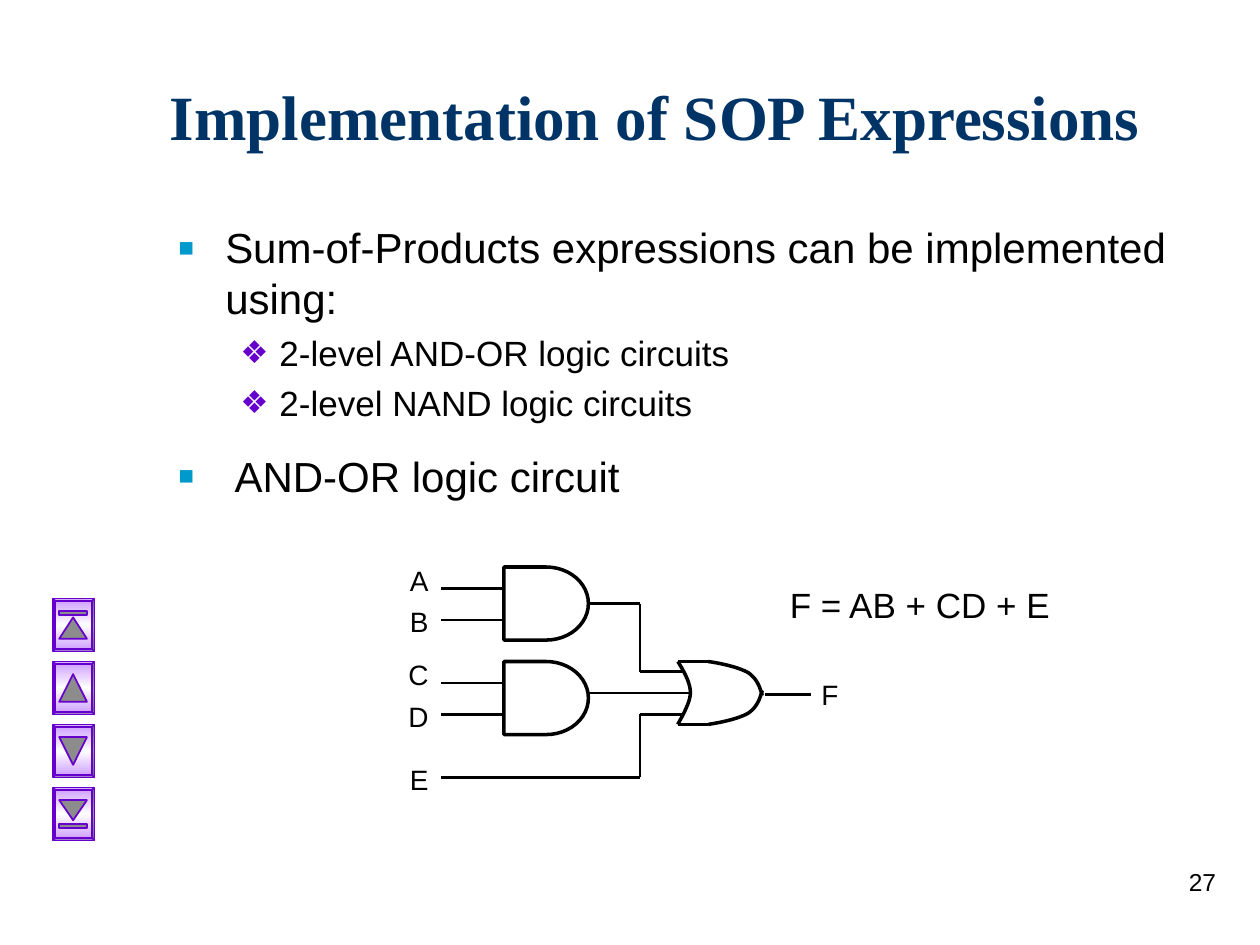
import pptx
import pptx.dml.color
import pptx.enum.dml
import pptx.enum.shapes
import pptx.enum.text
import pptx.oxml
import pptx.oxml.ns
import pptx.util
from pptx.util import Inches

RGBColor = pptx.dml.color.RGBColor
SHAPE = pptx.enum.shapes.MSO_SHAPE
ALIGN = pptx.enum.text.PP_ALIGN

NAVY = RGBColor(0x00, 0x33, 0x66)
BLACK = RGBColor(0x00, 0x00, 0x00)
TEAL = RGBColor(0x00, 0x99, 0xCC)
PURPLE = RGBColor(0x66, 0x00, 0xCC)
LILAC = RGBColor(0xCC, 0x99, 0xFF)
WHITE = RGBColor(0xFF, 0xFF, 0xFF)
GREY = RGBColor(0x8C, 0x8C, 0x8C)

# Bullet levels: text size, left margin, hanging indent, sign, sign colour, sign size in %
LEVELS = [
    (24, 0.38, 0.38, "▪", TEAL, 120),
    (20, 0.81, 0.31, "❖", PURPLE, 90),
]
# Text, level, space before
BULLETS = [
    ("Sum-of-Products expressions can be implemented using:", 0, 6),
    ("2-level AND-OR logic circuits", 1, 5),
    ("2-level NAND logic circuits", 1, 5),
    (" AND-OR logic circuit", 0, 15),
]
INPUT_LABELS = {"A": 4.42, "B": 4.75, "C": 5.17, "D": 5.5, "E": 6}
INPUT_WIRES = [4.67, 4.92, 5.42, 5.67]
INNER_WIRES = [
    (5.08, 4.79, 5.08, 5.33),
    (5.08, 5.33, 5.42, 5.33),
    (4.67, 5.5, 5.48, 5.5),
    (3.5, 6.17, 5.08, 6.17),
    (5.08, 6.17, 5.08, 5.67),
    (5.08, 5.67, 5.42, 5.67),
    (6.07, 5.51, 6.44, 5.51),
]
# Top of button, top of triangle, triangle height, points down, top of bar
NAV_BUTTONS = [
    (4.75, 4.9, 0.17, False, 4.85),
    (5.25, 5.35, 0.22, False, None),
    (5.75, 5.85, 0.22, True, None),
    (6.25, 6.35, 0.16, True, 6.54),
]


def add_frame(s, left, top, width, height):
    tf = s.shapes.add_textbox(Inches(left), Inches(top), Inches(width), Inches(height)).text_frame
    tf.word_wrap = True
    return tf


def write(p, text, size, font="Arial", color=BLACK, bold=False, before=0, align=ALIGN.LEFT):
    p.text = text
    p.alignment = align
    p.space_before = pptx.util.Pt(before)
    for r in p.runs:
        r.font.size = pptx.util.Pt(size)
        r.font.name = font
        r.font.bold = bold
        r.font.color.rgb = color


def add_label(s, box, text, size, **style):
    tf = add_frame(s, *box)
    write(tf.paragraphs[0], text, size, **style)
    return tf


def set_bullet(p, margin, hanging, sign, color, percent):
    pPr = p._p.get_or_add_pPr()
    pPr.set("marL", str(Inches(margin)))
    pPr.set("indent", str(-Inches(hanging)))
    ns = pptx.oxml.ns.nsdecls("a")
    for xml in (
        f'<a:buClr {ns}><a:srgbClr val="{color}"/></a:buClr>',
        f'<a:buSzPct {ns} val="{percent * 1000}"/>',
        f'<a:buFont {ns} typeface="Arial"/>',
        f'<a:buChar {ns} char="{sign}"/>',
    ):
        pPr.append(pptx.oxml.parse_xml(xml))


def add_bullets(s):
    tf = add_frame(s, 1.31, 1.71, 8.5, 2.38)
    for i, (text, level, before) in enumerate(BULLETS):
        p = tf.add_paragraph() if i else tf.paragraphs[0]
        size, *bullet = LEVELS[level]
        p.level = level
        write(p, text, size, before=before)
        set_bullet(p, *bullet)


def set_line(shape, color, width):
    shape.line.color.rgb = color
    shape.line.width = pptx.util.Pt(width)


def add_wire(s, x1, y1, x2, y2, width=1.5):
    wire = s.shapes.add_connector(
        pptx.enum.shapes.MSO_CONNECTOR.STRAIGHT, Inches(x1), Inches(y1), Inches(x2), Inches(y2))
    set_line(wire, BLACK, width)
    wire._element.spPr.append(pptx.oxml.parse_xml(f'<a:effectLst {pptx.oxml.ns.nsdecls("a")}/>'))
    return wire


def add_and_gate(s, top):
    gate = s.shapes.add_shape(
        SHAPE.FLOWCHART_DELAY, Inches(4), Inches(top), Inches(0.67), Inches(0.58))
    gate.shadow.inherit = False
    gate.fill.background()
    set_line(gate, BLACK, 2)
    return gate


def bezier(p0, p1, p2, p3, steps=12):
    """Points along a cubic curve, both ends included."""
    points = []
    for i in range(steps + 1):
        t = i / steps
        weights = ((1 - t) ** 3, 3 * t * (1 - t) ** 2, 3 * t * t * (1 - t), t ** 3)
        points.append(tuple(
            sum(w * c for w, c in zip(weights, axis)) for axis in zip(p0, p1, p2, p3)))
    return points


def add_curve(s, *points):
    """Open curve through cubic segments that share their end points."""
    path = [pt for i in range(0, len(points) - 1, 3) for pt in bezier(*points[i:i + 4])]
    path = [(Inches(x), Inches(y)) for x, y in path]
    builder = s.shapes.build_freeform(*path[0])
    builder.add_line_segments(path[1:], close=False)
    curve = builder.convert_to_shape()
    curve.shadow.inherit = False
    curve.fill.background()
    set_line(curve, BLACK, 2)


def add_or_gate(s):
    axis = 5.5
    add_curve(s, (5.38, 5.25), (5.43, 5.33), (5.48, 5.42), (5.48, axis),
              (5.48, 5.58), (5.4, 5.71), (5.38, 5.75))
    for side in (-1, 1):
        edge = axis + side * 0.25
        add_wire(s, 5.38, edge, 5.62, edge, width=2)
        offsets = [(5.62, 0.25), (5.75, 0.23), (5.87, 0.2), (5.94, 0.16),
                   (6.01, 0.11), (6.03, 0.05), (6.05, -0.02)]
        add_curve(s, *[(x, axis + side * dy) for x, dy in offsets])


def add_circuit(s):
    for text, top in INPUT_LABELS.items():
        add_label(s, (3.08, top, 0.42, 0.37), text, 16, before=6, align=ALIGN.RIGHT)
    for y in INPUT_WIRES:
        add_wire(s, 3.5, y, 4, y)
    for ends in INNER_WIRES:
        add_wire(s, *ends)
    upper_gate = add_and_gate(s, 4.5)
    add_and_gate(s, 5.25)
    add_wire(s, 4.67, 4.79, 5.08, 4.79).begin_connect(upper_gate, 3)
    add_or_gate(s)
    add_label(s, (6.42, 5.33, 0.48, 0.37), "F", 16, before=10)
    add_label(s, (6.17, 4.58, 2.42, 0.44), "F = AB + CD + E", 20, before=12.5)


def add_button_part(s, kind, left, top, width, height):
    part = s.shapes.add_shape(kind, Inches(left), Inches(top), Inches(width), Inches(height))
    part.shadow.inherit = False
    part.fill.solid()
    part.fill.fore_color.rgb = GREY
    set_line(part, PURPLE, 1)
    return part


def set_lilac_gradient(shape):
    shape.fill.gradient()
    shape.fill.gradient_angle = 90
    stops = shape.fill._fill._gradFill.gsLst
    for stop in list(stops):
        stops.remove(stop)
    for percent, color in ((0, LILAC), (50, WHITE), (100, LILAC)):
        stops.append(pptx.oxml.parse_xml(
            f'<a:gs {pptx.oxml.ns.nsdecls("a")} pos="{percent * 1000}">'
            f'<a:srgbClr val="{color}"/></a:gs>'))


def add_nav_button(s, top, icon_top, icon_height, points_down, bar_top):
    frame = add_button_part(s, SHAPE.BEVEL, 0.42, top, 0.33, 0.42)
    frame.adjustments[0] = 0.06
    set_lilac_gradient(frame)
    icon = add_button_part(s, SHAPE.ISOSCELES_TRIANGLE, 0.47, icon_top, 0.22, icon_height)
    icon.rotation = 180 if points_down else 0
    if bar_top is not None:
        add_button_part(s, SHAPE.RECTANGLE, 0.47, bar_top, 0.22, 0.03)


def main():
    prs = pptx.Presentation()
    prs.slide_width, prs.slide_height = Inches(10), Inches(7.5)
    s = prs.slides.add_slide(prs.slide_layouts[6])
    title = add_label(s, (1.25, 0.5, 8.5, 0.83), "Implementation of SOP Expressions", 36,
                      font="Times New Roman", color=NAVY, bold=True)
    title.vertical_anchor = pptx.enum.text.MSO_ANCHOR.MIDDLE
    add_bullets(s)
    add_circuit(s)
    for button in NAV_BUTTONS:
        add_nav_button(s, *button)
    add_label(s, (7.67, 6.83, 2.08, 0.5), "27", 14, before=8.8, align=ALIGN.RIGHT)
    prs.save("out.pptx")


if __name__ == "__main__":
    main()
